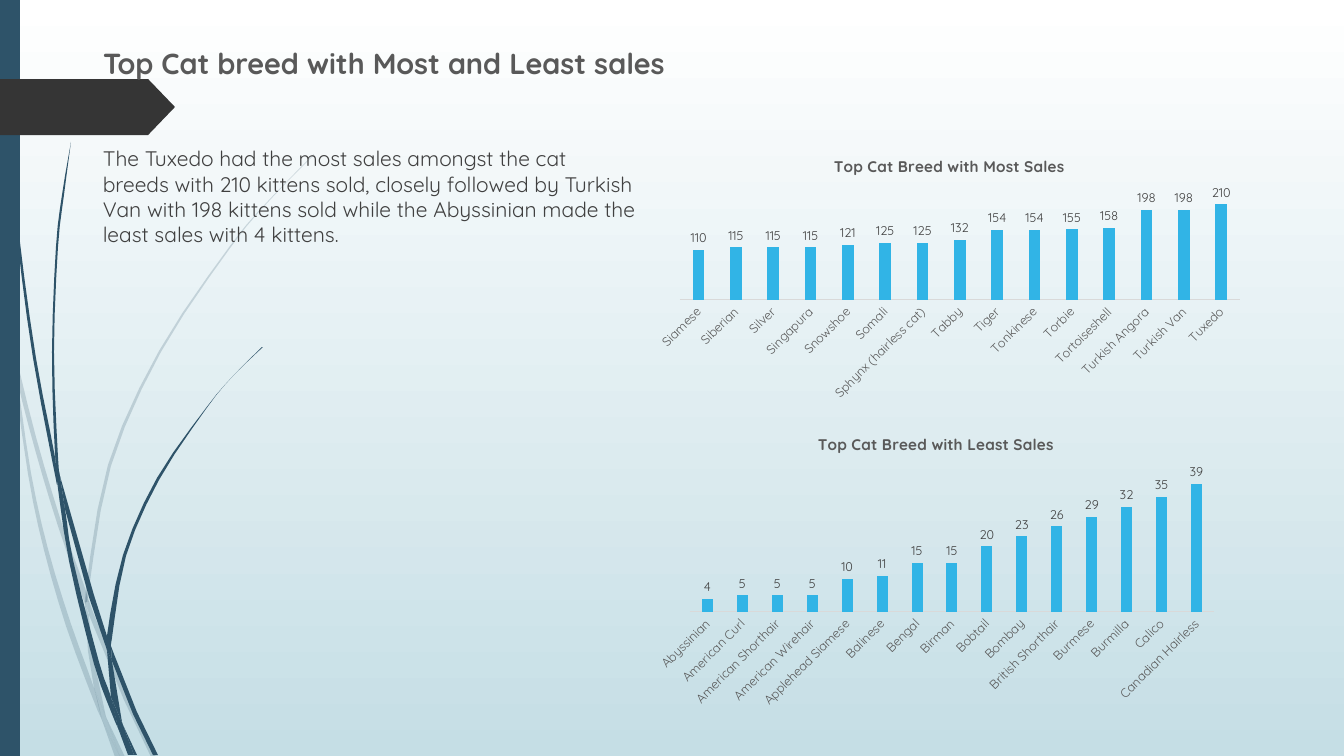
from lxml.etree import SubElement
from pptx import Presentation
from pptx.chart.data import CategoryChartData
from pptx.dml.color import RGBColor
from pptx.enum.chart import XL_CHART_TYPE, XL_LABEL_POSITION, XL_TICK_MARK
from pptx.enum.shapes import MSO_SHAPE
from pptx.enum.text import MSO_ANCHOR, PP_ALIGN
from pptx.oxml.ns import qn
from pptx.util import Pt

EMU_PER_PX = 914400 / 100.8
FONT = "Quicksand"
NAVY, CHARCOAL, GREY, DARK_GREY = "2E5369", "353535", "595959", "404040"
SKY, RULE = "31B4E6", "D9D9D9"

PALE_BLADES = [
    ([(0, 301), (10, 347), (11, 353)], [(0, 284), (9, 325), (11, 353)]),
    ([(14, 348), (17, 379), (36, 453), (58, 526), (85, 604)],
     [(14, 348), (36, 437), (62, 524), (86, 591), (85, 604)]),
    ([(89, 601), (89, 615), (124, 700), (151, 757)], [(89, 601), (93, 612), (128, 698), (156, 757)]),
    ([(106, 717), (120, 757)], [(106, 717), (125, 757)]),
    ([(11, 353), (28, 474), (44, 550), (66, 626), (93, 699), (102, 720)],
     [(11, 353), (17, 379), (31, 473), (48, 549), (71, 624), (94, 688), (102, 720)]),
    ([(85, 604), (88, 651), (94, 688), (106, 717)], [(85, 604), (89, 615), (92, 651), (106, 717)]),
    ([(314, 154), (270, 199), (230, 246), (159, 351), (108, 465), (86, 589), (89, 601)],
     [(314, 155), (270, 200), (231, 247), (161, 352), (111, 466), (89, 589), (89, 601)]),
    ([(102, 720), (115, 757)], [(102, 720), (120, 757)]),
    ([(86, 591), (85, 604), (89, 613)], [(86, 591), (89, 601), (89, 615)]),
    ([(94, 688), (102, 720), (120, 757)], [(94, 688), (106, 717), (120, 757)]),
]
DARK_BLADES = [
    ([(3, 0), (4, 48), (7, 111), (17, 235), (33, 358), (57, 485)],
     [(4, 0), (5, 48), (8, 110), (19, 234), (36, 358), (55, 457), (57, 485)]),
    ([(60, 476), (65, 509), (89, 597), (107, 650)], [(60, 476), (94, 595), (107, 636), (107, 650)]),
    ([(111, 646), (112, 661), (133, 714), (153, 755)], [(111, 646), (114, 654), (137, 712), (158, 755)]),
    ([(57, 481), (69, 561), (94, 664), (112, 714), (118, 728)],
     [(57, 481), (65, 509), (73, 560), (99, 662), (111, 697), (118, 728)]),
    ([(71, 142), (62, 195), (56, 247), (52, 352), (55, 453), (60, 476)],
     [(71, 142), (64, 195), (58, 247), (54, 352), (58, 457), (60, 476)]),
    ([(123, 725), (134, 755)], [(123, 725), (137, 755)]),
    ([(55, 453), (57, 481), (65, 509)], [(55, 453), (60, 476), (65, 509)]),
    ([(262, 347), (233, 376), (206, 408), (157, 478), (123, 555), (107, 636), (111, 646)],
     [(263, 347), (233, 376), (206, 409), (159, 480), (126, 556), (112, 638), (111, 646)]),
    ([(118, 728), (128, 755)], [(118, 728), (132, 755)]),
    ([(107, 650), (111, 697), (123, 725)], [(107, 650), (112, 661), (122, 722), (123, 725)]),
    ([(107, 636), (107, 650), (112, 661)], [(107, 636), (111, 646), (112, 661)]),
    ([(111, 697), (118, 728), (131, 755)], [(111, 697), (123, 725), (134, 755)]),
]
MOST_SALES = {
    "Siamese": 110, "Siberian": 115, "Silver": 115, "Singapura": 115, "Snowshoe": 121,
    "Somali": 125, "Sphynx (hairless cat)": 125, "Tabby": 132, "Tiger": 154, "Tonkinese": 154,
    "Torbie": 155, "Tortoiseshell": 158, "Turkish Angora": 198, "Turkish Van": 198, "Tuxedo": 210,
}
LEAST_SALES = {
    "Abyssinian": 4, "American Curl": 5, "American Shorthair": 5, "American Wirehair": 5,
    "Applehead Siamese": 10, "Balinese": 11, "Bengal": 15, "Birman": 15, "Bobtail": 20,
    "Bombay": 23, "British Shorthair": 26, "Burmese": 29, "Burmilla": 32, "Calico": 35,
    "Canadian Hairless": 39,
}


def px(n):
    """Turn pixels into EMU."""
    return round(n * EMU_PER_PX)


def rgb(value):
    """Turn a hex string into a colour."""
    return RGBColor.from_string(value)


def style_font(font, size, color, bold=False):
    """Set the face, size, colour and weight of a font."""
    font.name, font.size, font.bold = FONT, Pt(size), bold
    font.color.rgb = rgb(color)


def write(tf, text, size, color, bold=False):
    """Write one left-aligned paragraph into a text frame."""
    p = tf.paragraphs[0]
    p.alignment = PP_ALIGN.LEFT
    r = p.add_run()
    r.text = text
    style_font(r.font, size, color, bold)


def paint(sp, color, opacity=100):
    """Give a shape a plain fill without line or shadow."""
    sp.shadow.inherit = False
    sp.line.fill.background()
    sp.fill.solid()
    sp.fill.fore_color.rgb = rgb(color)
    if opacity < 100:
        clr = sp.fill._xPr.find(".//" + qn("a:srgbClr"))
        SubElement(clr, qn("a:alpha"), val=str(opacity * 1000))


def smooth(points, steps=3):
    """Return a Catmull-Rom curve through a long edge, or a short edge as it is."""
    if len(points) < 5:
        return points
    padded = [points[0], *points, points[-1]]
    curve = []
    for a, b, c, d in zip(padded, padded[1:], padded[2:], padded[3:]):
        for t in (i / steps for i in range(steps)):
            curve.append(tuple(
                q + t * (r - p) / 2 + t**2 * (p - 2.5 * q + 2 * r - s / 2)
                + t**3 * (1.5 * (q - r) + (s - p) / 2)
                for p, q, r, s in zip(a, b, c, d)))
    return curve + [points[-1]]


def add_blade(s, left, right, color, opacity):
    """Draw a grass blade between its left and right edges."""
    outline = [(px(x), px(y)) for x, y in smooth(left) + smooth(right)[::-1]]
    builder = s.shapes.build_freeform(*outline[0])
    builder.add_line_segments(outline[1:], close=True)
    paint(builder.convert_to_shape(), color, opacity)


def add_decor(s):
    """Draw the background, the blades, the side band and the tag."""
    fill = s.background.fill
    fill.gradient()
    fill.gradient_angle = 270
    for stop, position, color in zip(fill.gradient_stops, (0, 1), ("FFFFFF", "C5DEE5")):
        stop.position, stop.color.rgb = position, rgb(color)
    for blades, opacity in ((PALE_BLADES, 20), (DARK_BLADES, 100)):
        for left, right in blades:
            add_blade(s, left, right, NAVY, opacity)
    band = s.shapes.add_shape(MSO_SHAPE.RECTANGLE, 0, 0, px(20), px(756))
    paint(band, NAVY)
    tag = s.shapes.add_shape(MSO_SHAPE.PENTAGON, 0, px(79), px(175), px(56))
    tag.adjustments[0] = 0.48
    paint(tag, CHARCOAL)


def add_copy(s, x, y, w):
    """Place the title and the paragraph below it."""
    title = s.shapes.title
    s.shapes._spTree.append(title._element)
    title.left, title.top, title.width, title.height = px(x), px(y), px(w), px(65)
    body = s.shapes.add_textbox(px(x), px(y + 101), px(w - 41), px(158))
    for sp in (title, body):
        sp.text_frame.word_wrap = True
        sp.text_frame.vertical_anchor = MSO_ANCHOR.TOP
    write(title.text_frame, "Top Cat breed with Most and Least sales", 20.7, GREY, bold=True)
    write(body.text_frame,
          "The Tuxedo had the most sales amongst the cat breeds with 210 kittens sold, "
          "closely followed by Turkish Van with 198 kittens sold while the Abyssinian made "
          "the least sales with 4 kittens.", 15, DARK_GREY)


def set_layout(parent, index, **fractions):
    """Fix the place of a chart part as fractions of the chart."""
    for old in parent.findall(qn("c:layout")):
        parent.remove(old)
    layout = parent.makeelement(qn("c:layout"))
    parent.insert(index, layout)
    manual = SubElement(layout, qn("c:manualLayout"))
    if "w" in fractions:
        SubElement(manual, qn("c:layoutTarget"), val="inner")
    for key in "xy":
        SubElement(manual, qn(f"c:{key}Mode"), val="edge")
    for key, value in fractions.items():
        SubElement(manual, qn(f"c:{key}"), val=f"{value:.4f}")


def add_sales_chart(s, box, title, title_at, plot, sales, top):
    """Add a column chart; title and plot are placed relative to its box."""
    x, y, w, h = box
    data = CategoryChartData()
    data.categories = list(sales)
    data.add_series("Series 1", list(sales.values()))
    chart = s.shapes.add_chart(XL_CHART_TYPE.COLUMN_CLUSTERED, px(x), px(y), px(w), px(h), data).chart
    chart.has_legend = False
    style_font(chart.font, 10, "000000")
    write(chart.chart_title.text_frame, title, 11, GREY, bold=True)
    set_layout(chart.chart_title._element, 1, x=title_at[0] / w, y=title_at[1] / h)
    set_layout(chart._chartSpace.chart.plotArea, 0,
               x=plot[0] / w, y=plot[1] / h, w=plot[2] / w, h=plot[3] / h)

    bars = chart.plots[0]
    bars.gap_width, bars.overlap, bars.vary_by_categories = 219, -27, False
    fill = bars.series[0].format.fill
    fill.solid()
    fill.fore_color.rgb = rgb(SKY)
    bars.has_data_labels = True
    labels = bars.data_labels
    labels.show_value, labels.position = True, XL_LABEL_POSITION.OUTSIDE_END
    style_font(labels.font, 9, DARK_GREY)

    values = chart.value_axis
    values.minimum_scale, values.maximum_scale = 0, top
    values.has_major_gridlines = values.visible = False
    breeds = chart.category_axis
    breeds.major_tick_mark = XL_TICK_MARK.NONE
    breeds.format.line.color.rgb = rgb(RULE)
    breeds.format.line.width = Pt(0.75)
    style_font(breeds.tick_labels.font, 9, GREY)
    breeds._element.find(qn("c:txPr")).find(qn("a:bodyPr")).set("rot", "-2700000")


prs = Presentation()
prs.slide_width, prs.slide_height = px(1344), px(756)
s = prs.slides.add_slide(prs.slide_layouts[5])
add_decor(s)
add_copy(s, 93, 40, 595)
add_sales_chart(s, (647, 141, 605, 265), "Top Cat Breed with Most Sales",
                (184, 11), (33, 45, 560, 114), MOST_SALES, 250)
add_sales_chart(s, (647, 418, 579, 295), "Top Cat Breed with Least Sales",
                (168, 12), (43, 46, 524, 148), LEAST_SALES, 45)
prs.save("out.pptx")
